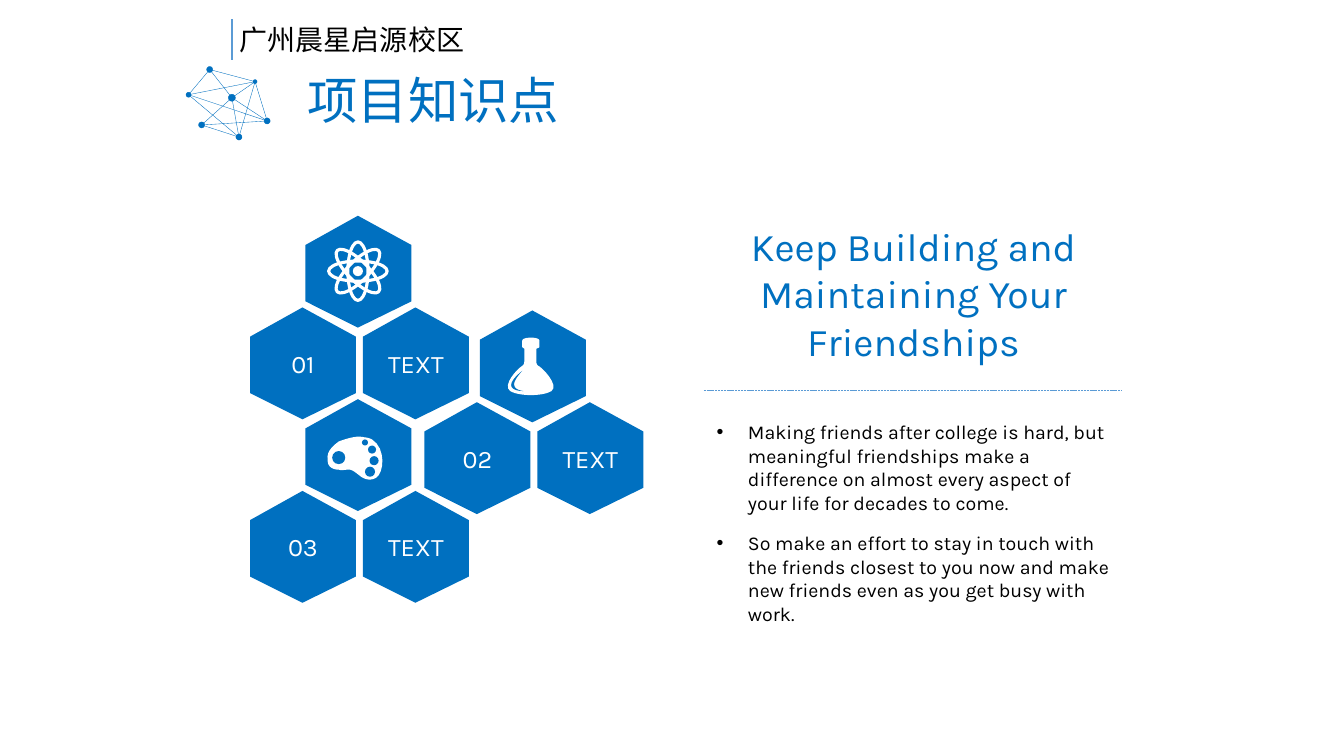
"""Build the honeycomb slide of project knowledge points."""
from lxml.etree import SubElement
from pptx import Presentation
from pptx.dml.color import RGBColor
from pptx.enum.dml import MSO_LINE
from pptx.enum.shapes import MSO_CONNECTOR, MSO_SHAPE
from pptx.enum.text import MSO_ANCHOR, PP_ALIGN
from pptx.oxml.ns import qn
from pptx.util import Inches, Pt

BLUE, SKY, WHITE, BLACK = "0070C0", "5B9BD5", "FFFFFF", "000000"
LATIN, CHINESE = "Karla", "Noto Sans CJK KR"

CAMPUS = "广州晨星启源校区"
TITLE = "项目知识点"
HEADING = "Keep Building and Maintaining Your Friendships"
BULLETS = [
    "Making friends after college is hard, but meaningful friendships make a "
    "difference on almost every aspect of your life for decades to come.",
    "So make an effort to stay in touch with the friends closest to you now "
    "and make new friends even as you get busy with work.",
]
CLUSTERS = [
    (3.03, 2.14, "01", "TEXT"),
    (4.76, 3.08, "02", "TEXT"),
    (3.03, 3.96, "03", "TEXT"),
]
LABEL_SHIFTS, LABEL_DROP = (-0.55, 0.57), 0.91
HEXAGON = [(0.52, 0), (1.05, 0.29), (1.05, 0.85), (0.52, 1.11), (0, 0.85), (0, 0.29)]

NODES = {
    "top": (2.08, 0.69, 0.06), "northeast": (2.53, 0.81, 0.04),
    "left": (1.87, 0.94, 0.05), "hub": (2.3, 0.97, 0.07),
    "southwest": (2, 1.24, 0.06), "bottom": (2.37, 1.36, 0.06),
    "right": (2.65, 1.2, 0.06),
}
LINKS = {
    "top": ["left", "northeast", "hub"],
    "left": ["bottom", "right", "northeast"],
    "northeast": ["bottom", "hub", "right"],
    "hub": ["bottom", "right", "southwest"],
    "southwest": ["bottom", "right"],
}

ATOM_CENTER, ORBIT_SIZE, NUCLEUS = (3.55, 2.69), (0.58, 0.2), 0.1
ORBIT_ANGLES = (0, 45, 90, 135)
FLASK = [(5.18, 3.63), [
    (5.18, 3.63, 5.2, 3.62, 5.2, 3.59), (5.2, 3.57, 5.2, 3.49, 5.2, 3.46),
    (5.19, 3.45, 5.18, 3.45, 5.18, 3.44), (5.18, 3.42, 5.18, 3.4, 5.18, 3.38),
    (5.18, 3.36, 5.22, 3.35, 5.27, 3.35), (5.31, 3.35, 5.35, 3.36, 5.35, 3.38),
    (5.35, 3.4, 5.35, 3.42, 5.35, 3.44), (5.35, 3.45, 5.34, 3.45, 5.32, 3.46),
    (5.32, 3.49, 5.32, 3.57, 5.32, 3.59), (5.32, 3.62, 5.34, 3.63, 5.34, 3.63),
    (5.37, 3.64, 5.55, 3.82, 5.47, 3.88), (5.4, 3.92, 5.29, 3.92, 5.26, 3.92),
    (5.2, 3.92, 5.11, 3.91, 5.06, 3.88), (4.98, 3.82, 5.13, 3.66, 5.18, 3.63),
]]
FLASK_SHADE = [(5.18, 3.68), [
    (5.18, 3.68, 5.07, 3.76, 5.07, 3.82), (5.07, 3.87, 5.15, 3.88, 5.19, 3.88),
    (5.19, 3.88, 5.1, 3.87, 5.1, 3.82), (5.09, 3.78, 5.16, 3.7, 5.18, 3.68),
]]
PALETTE = [(3.69, 4.36), [
    (3.83, 4.45, 3.81, 4.69, 3.73, 4.74), (3.71, 4.75, 3.68, 4.77, 3.62, 4.75),
    (3.56, 4.73, 3.51, 4.65, 3.45, 4.66), (3.42, 4.66, 3.39, 4.67, 3.36, 4.66),
    (3.3, 4.66, 3.25, 4.63, 3.25, 4.57), (3.23, 4.46, 3.34, 4.4, 3.36, 4.38),
    (3.47, 4.34, 3.55, 4.32, 3.62, 4.34), (3.64, 4.34, 3.67, 4.35, 3.69, 4.36),
]]
PAINT_WELLS = [(3.36, 4.54, 0.13), (3.62, 4.39, 0.06), (3.69, 4.46, 0.08),
               (3.71, 4.57, 0.09), (3.67, 4.68, 0.1)]


def color(value):
    return RGBColor.from_string(value)


def paint(shape, fill=None, line=None, width=0.25):
    shape.shadow.inherit = False
    if fill:
        shape.fill.solid()
        shape.fill.fore_color.rgb = color(fill)
    else:
        shape.fill.background()
    if line:
        shape.line.color.rgb = color(line)
        shape.line.width = Pt(width)
    else:
        shape.line.fill.background()


def add_ellipse(slide, x, y, width, height, fill=None, line=None, weight=0.25):
    shape = slide.shapes.add_shape(
        MSO_SHAPE.OVAL, Inches(x - width / 2), Inches(y - height / 2),
        Inches(width), Inches(height))
    paint(shape, fill, line, weight)
    return shape


def add_outline(slide, points, fill):
    corners = [(Inches(x), Inches(y)) for x, y in points]
    builder = slide.shapes.build_freeform(*corners[0], scale=1.0)
    builder.add_line_segments(corners[1:], close=True)
    shape = builder.convert_to_shape()
    paint(shape, fill)
    return shape


def curve_points(start, curves, steps=8):
    points = [start]
    for x1, y1, x2, y2, x3, y3 in curves:
        x0, y0 = points[-1]
        for step in range(1, steps + 1):
            t = step / steps
            u = 1 - t
            weights = (u ** 3, 3 * u * u * t, 3 * u * t * t, t ** 3)
            points.append((sum(w * x for w, x in zip(weights, (x0, x1, x2, x3))),
                           sum(w * y for w, y in zip(weights, (y0, y1, y2, y3)))))
    return points


def add_line(slide, start, end, line, width):
    connector = slide.shapes.add_connector(
        MSO_CONNECTOR.STRAIGHT, *[Inches(value) for value in (*start, *end)])
    connector.line.color.rgb = color(line)
    connector.line.width = Pt(width)
    SubElement(connector._element.spPr, qn("a:effectLst"))
    return connector


def write(paragraph, text, size, ink, font=LATIN, align=PP_ALIGN.LEFT):
    paragraph.alignment = align
    run = paragraph.add_run()
    run.text = text
    run.font.size = Pt(size)
    run.font.name = font
    run.font.color.rgb = color(ink)


def add_text_frame(slide, *box):
    frame = slide.shapes.add_textbox(*[Inches(value) for value in box]).text_frame
    frame.word_wrap = True
    return frame


def add_hexagon(slide, left, top, label=None):
    shape = add_outline(slide, [(left + x, top + y) for x, y in HEXAGON], BLUE)
    if label:
        shape.text_frame.vertical_anchor = MSO_ANCHOR.MIDDLE
        write(shape.text_frame.paragraphs[0], label, 18, WHITE, align=PP_ALIGN.CENTER)


def add_network(slide):
    for start, ends in LINKS.items():
        for end in ends:
            add_line(slide, NODES[start][:2], NODES[end][:2], BLUE, 0.25)
    for x, y, size in NODES.values():
        add_ellipse(slide, x, y, size, size, BLUE, BLUE)


def add_honeycomb(slide):
    for left, top, *labels in CLUSTERS:
        add_hexagon(slide, left, top)
        for shift, label in zip(LABEL_SHIFTS, labels):
            add_hexagon(slide, left + shift, top + LABEL_DROP, label)


def add_icons(slide):
    for angle in ORBIT_ANGLES:
        orbit = add_ellipse(slide, *ATOM_CENTER, *ORBIT_SIZE, line=WHITE, weight=2.25)
        orbit.rotation = angle
    add_ellipse(slide, *ATOM_CENTER, NUCLEUS, NUCLEUS, WHITE)
    for outline, fill in ((FLASK, WHITE), (FLASK_SHADE, BLUE), (PALETTE, WHITE)):
        add_outline(slide, curve_points(*outline), fill)
    for x, y, size in PAINT_WELLS:
        add_ellipse(slide, x, y, size, size, BLUE)


def add_texts(slide):
    title = add_text_frame(slide, 2.95, 0.59, 7.93, 0.86)
    title.vertical_anchor = MSO_ANCHOR.MIDDLE
    title.paragraphs[0].line_spacing = 0.9
    write(title.paragraphs[0], TITLE, 36, BLUE)
    heading = add_text_frame(slide, 7.23, 2.16, 3.66, 1.51)
    write(heading.paragraphs[0], HEADING, 28, BLUE, align=PP_ALIGN.CENTER)
    divider = add_line(slide, (6.98, 3.87), (11.13, 3.87), SKY, 0.5)
    divider.line.dash_style = MSO_LINE.SQUARE_DOT
    body = add_text_frame(slide, 7.01, 4.12, 4.12, 1.92)
    for index, text in enumerate(BULLETS):
        paragraph = body.add_paragraph() if index else body.paragraphs[0]
        paragraph.space_before = Pt(12)
        write(paragraph, text, 14, BLACK)
        properties = paragraph._p.get_or_add_pPr()
        properties.set("marL", str(Inches(0.31)))
        properties.set("indent", str(-Inches(0.31)))
        SubElement(properties, qn("a:buFont")).set("typeface", "Arial")
        SubElement(properties, qn("a:buChar")).set("char", "•")
    campus = add_text_frame(slide, 2.28, 0.17, 2.44, 0.44)
    write(campus.paragraphs[0], CAMPUS, 20, BLACK, CHINESE)
    add_line(slide, (2.3, 0.19), (2.3, 0.6), SKY, 1.5)


def main():
    presentation = Presentation()
    presentation.slide_width, presentation.slide_height = Inches(13.33), Inches(7.5)
    slide = presentation.slides.add_slide(presentation.slide_layouts[6])
    for add_part in (add_network, add_honeycomb, add_icons, add_texts):
        add_part(slide)
    presentation.save("out.pptx")


if __name__ == "__main__":
    main()
